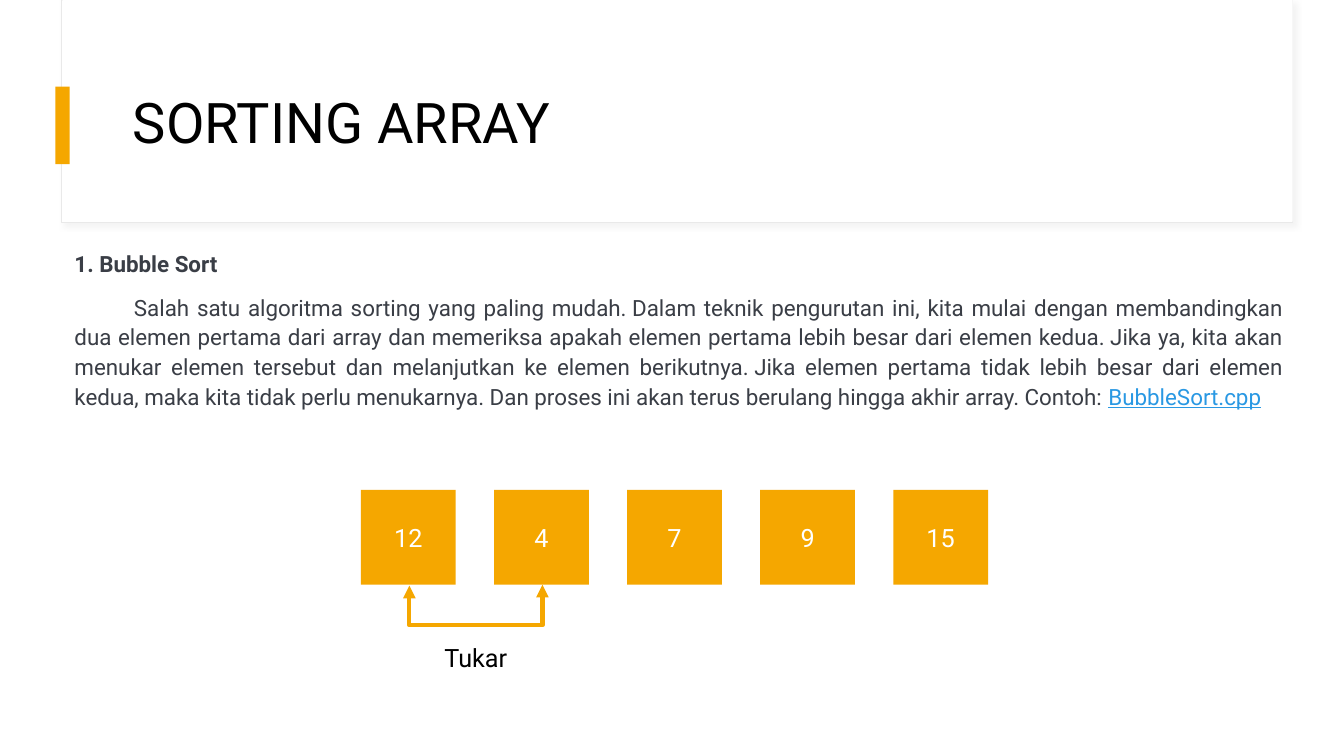
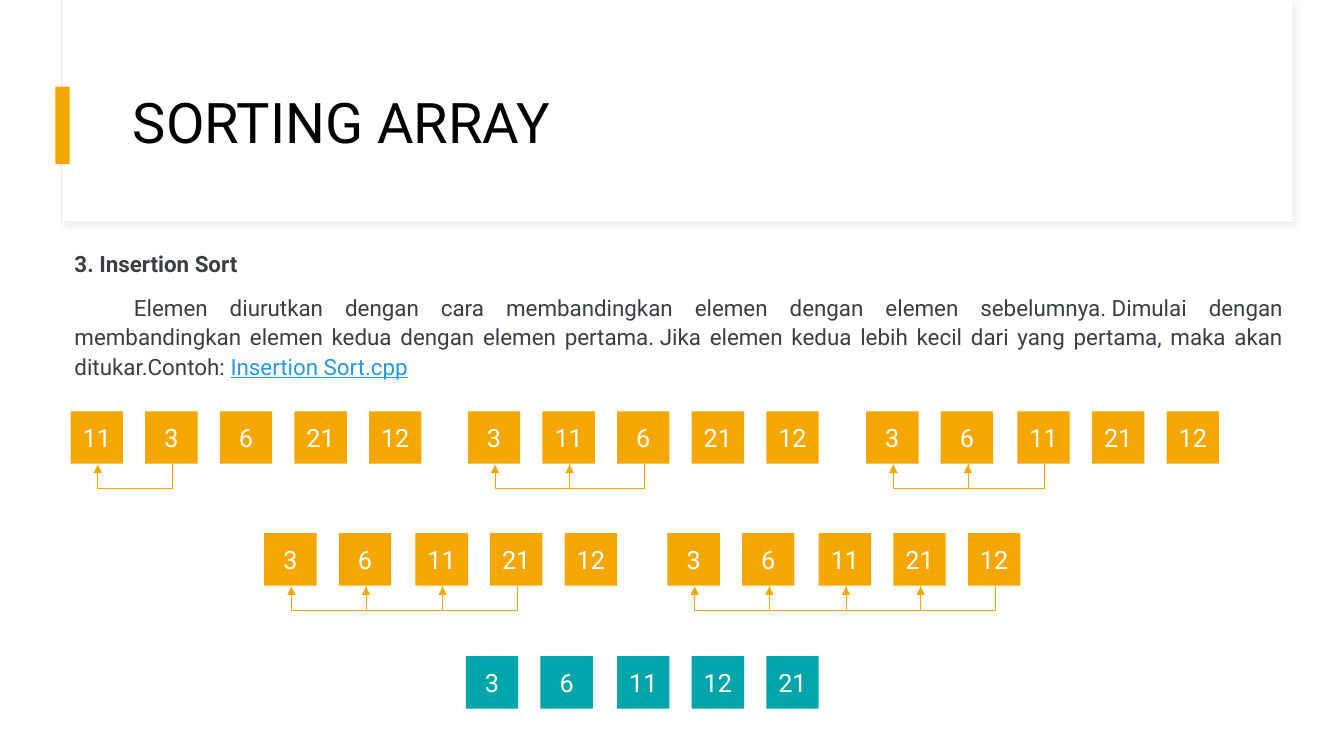
import pptx
import pptx.dml.color
import pptx.enum.shapes
import pptx.enum.text
import pptx.oxml
import pptx.oxml.ns
import pptx.util
from pptx.util import Inches

GOLD, TEAL, WHITE, BLACK = "F5A700", "00A5AB", "FFFFFF", "000000"
DARK, LINK, EDGE, SHADE = "3A3E46", "2998E3", "E9E9E9", "D9D9D9"
ALIGN = pptx.enum.text.PP_ALIGN
MIDDLE = pptx.enum.text.MSO_ANCHOR.MIDDLE
qn = pptx.oxml.ns.qn


def color(code):
    """Turn a hex string into a colour."""
    return pptx.dml.color.RGBColor.from_string(code)


def add_xml(parent, text):
    """Append a drawing element, given as XML, to a parent."""
    space = pptx.oxml.ns.nsdecls("a")
    head, mark, rest = text.partition(" ")
    parent.append(pptx.oxml.parse_xml(f"{head} {space}{mark}{rest}"))


class Deck:
    """Holds the style and the current slide."""

    font = "Roboto"

    def __init__(self):
        """Start an empty wide deck."""
        self.show = pptx.Presentation()
        self.show.slide_width = Inches(13.33)
        self.show.slide_height = Inches(7.5)
        self.slide = None

    def style(self, run, size, tint, bold=False, under=False):
        """Set the font of one run."""
        run.font.name = self.font
        run.font.size = pptx.util.Pt(size)
        run.font.bold = bold
        run.font.underline = under
        run.font.color.rgb = color(tint)

    def rect(self, left, top, width, height, fill):
        """Draw a plain filled rectangle."""
        kind = pptx.enum.shapes.MSO_SHAPE.RECTANGLE
        shape = self.slide.shapes.add_shape(
            kind, Inches(left), Inches(top), Inches(width), Inches(height))
        shape.shadow.inherit = False
        shape.fill.solid()
        shape.fill.fore_color.rgb = color(fill)
        shape.line.fill.background()
        return shape

    def box(self, left, top, width, height):
        """Add an empty text box that wraps and return its frame."""
        frame = self.slide.shapes.add_textbox(
            Inches(left), Inches(top), Inches(width), Inches(height)).text_frame
        frame.word_wrap = True
        return frame

    def label(self, frame, text, size, tint, align):
        """Write one line of text into a frame."""
        frame.text = text
        para = frame.paragraphs[0]
        para.alignment = align
        self.style(para.runs[0], size, tint)
        return para

    def page(self, title):
        """Add a slide with the framed title band."""
        self.slide = self.show.slides.add_slide(self.show.slide_layouts[6])
        panel = self.rect(0.61, 0, 12.21, 2.21, WHITE)
        panel.line.color.rgb = color(EDGE)
        panel.line.width = pptx.util.Pt(0.75)
        add_xml(panel.element.spPr.find(qn("a:effectLst")),
                '<a:outerShdw blurRad="50800" dist="38100" dir="2700000">'
                f'<a:srgbClr val="{SHADE}"><a:alpha val="30000"/></a:srgbClr>'
                '</a:outerShdw>')
        self.rect(0.62, 0, 12.2, 2.2, WHITE)
        self.rect(0.55, 0.86, 0.14, 0.77, GOLD)
        frame = self.box(1.22, 0.6, 11.12, 1.29)
        frame.vertical_anchor = MIDDLE
        self.label(frame, title, 40, BLACK, ALIGN.LEFT).line_spacing = 0.9

    def body(self, head, text, link):
        """Write a bold heading and a paragraph that ends in a file name."""
        frame = self.box(0.64, 2.41, 12.19, 4.72)
        frame.text = head
        first, para = frame.paragraphs[0], frame.add_paragraph()
        para.text = text
        para.add_run().text = link
        for item in (first, para):
            item.alignment = ALIGN.JUSTIFY
            item.line_spacing = 1.1
            item.space_before = pptx.util.Pt(10)
        para._p.get_or_add_pPr().set("indent", str(Inches(0.59)))
        self.style(first.runs[0], 16, DARK, bold=True)
        self.style(para.runs[0], 16, DARK)
        self.style(para.runs[1], 16, LINK, under=True)

    def hop(self, right, left, top, depth, weight, both):
        """Draw a U-shaped arrow that runs under two cells."""
        drop, span = 0.01, right - left
        mid_x, mid_y = (left + right) / 2, top + drop / 2
        line = self.slide.shapes.add_connector(
            pptx.enum.shapes.MSO_CONNECTOR.ELBOW,
            Inches(mid_x - drop / 2), Inches(mid_y - span / 2),
            Inches(mid_x + drop / 2), Inches(mid_y + span / 2))
        props = line.element.spPr
        props.find(qn("a:xfrm")).set("rot", "5400000")
        bend = round(depth / drop * 100000)
        add_xml(props.find(qn("a:prstGeom")).find(qn("a:avLst")),
                f'<a:gd name="adj1" fmla="val {bend}"/>')
        line.line.color.rgb = color(GOLD)
        line.line.width = pptx.util.Pt(weight)
        stroke = props.find(qn("a:ln"))
        if both:
            add_xml(stroke, '<a:headEnd type="triangle"/>')
        add_xml(stroke, '<a:tailEnd type="triangle"/>')
        add_xml(props, '<a:effectLst />')

    def cells(self, values, left, top, size=0.52, pitch=0.74, nudge=0,
              fill=GOLD, hops=0, depth=0.25, weight=0.5, both=False):
        """Draw an array as a row of squares, with hops between the first ones."""
        spots = [left + i * pitch + (nudge if i > 1 else 0)
                 for i in range(len(values))]
        for spot, value in zip(spots, values):
            shape = self.rect(spot, top, size, size, fill)
            frame = shape.text_frame
            frame.vertical_anchor = MIDDLE
            self.label(frame, str(value), 18, WHITE, ALIGN.CENTER)
        mids = [spot + size / 2 + 0.01 for spot in spots]
        for i in range(hops):
            self.hop(mids[i + 1], mids[i], top + size, depth, weight, both)


deck = Deck()
TITLE = "SORTING ARRAY"

deck.page(TITLE)
deck.body(
    "1. Bubble Sort",
    "Salah satu algoritma sorting yang paling mudah.\u00a0Dalam teknik "
    "pengurutan ini, kita mulai dengan membandingkan dua elemen pertama dari "
    "array dan memeriksa apakah elemen pertama lebih besar dari elemen "
    "kedua.\u00a0Jika ya, kita akan menukar elemen tersebut dan melanjutkan ke "
    "elemen berikutnya.\u00a0Jika elemen pertama tidak lebih besar dari elemen "
    "kedua, maka kita tidak perlu menukarnya.\u00a0Dan proses ini akan terus "
    "berulang hingga akhir array. Contoh: ",
    "BubbleSort.cpp")
deck.cells([12, 4, 7, 9, 15], 3.58, 4.86, size=0.94, pitch=1.32,
           hops=1, depth=0.41, weight=3, both=True)
deck.label(deck.box(4.14, 6.32, 1.16, 0.4), "Tukar", 18, BLACK, ALIGN.CENTER)

deck.page(TITLE)
deck.body(
    "3. Insertion Sort",
    "Elemen diurutkan dengan cara membandingkan elemen dengan elemen "
    "sebelumnya.\u00a0Dimulai dengan membandingkan elemen kedua dengan elemen "
    "pertama.\u00a0Jika elemen kedua lebih kecil dari yang pertama, maka akan "
    "ditukar.Contoh: ",
    "Insertion Sort.cpp")
STEPS = [
    ([11, 3, 6, 21, 12], 0.7, 4.08, 0, 1),
    ([3, 11, 6, 21, 12], 4.64, 4.08, 0, 2),
    ([3, 6, 11, 21, 12], 8.59, 4.08, 0.02, 2),
    ([3, 6, 11, 21, 12], 2.62, 5.29, 0.02, 3),
    ([3, 6, 11, 21, 12], 6.62, 5.29, 0.02, 4),
]
for values, left, top, nudge, hops in STEPS:
    deck.cells(values, left, top, nudge=nudge, hops=hops)
deck.cells([3, 6, 11, 12, 21], 4.62, 6.51, nudge=0.02, fill=TEAL)

deck.show.save("out.pptx")
